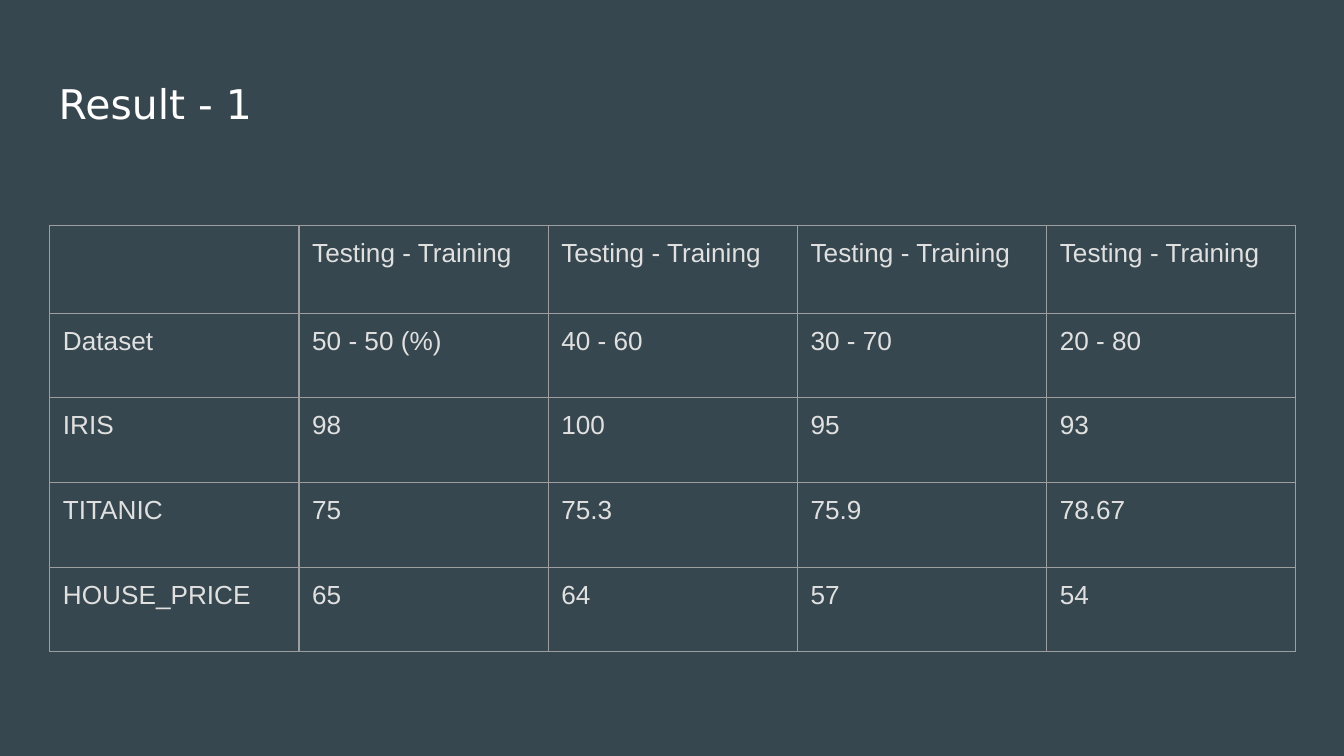
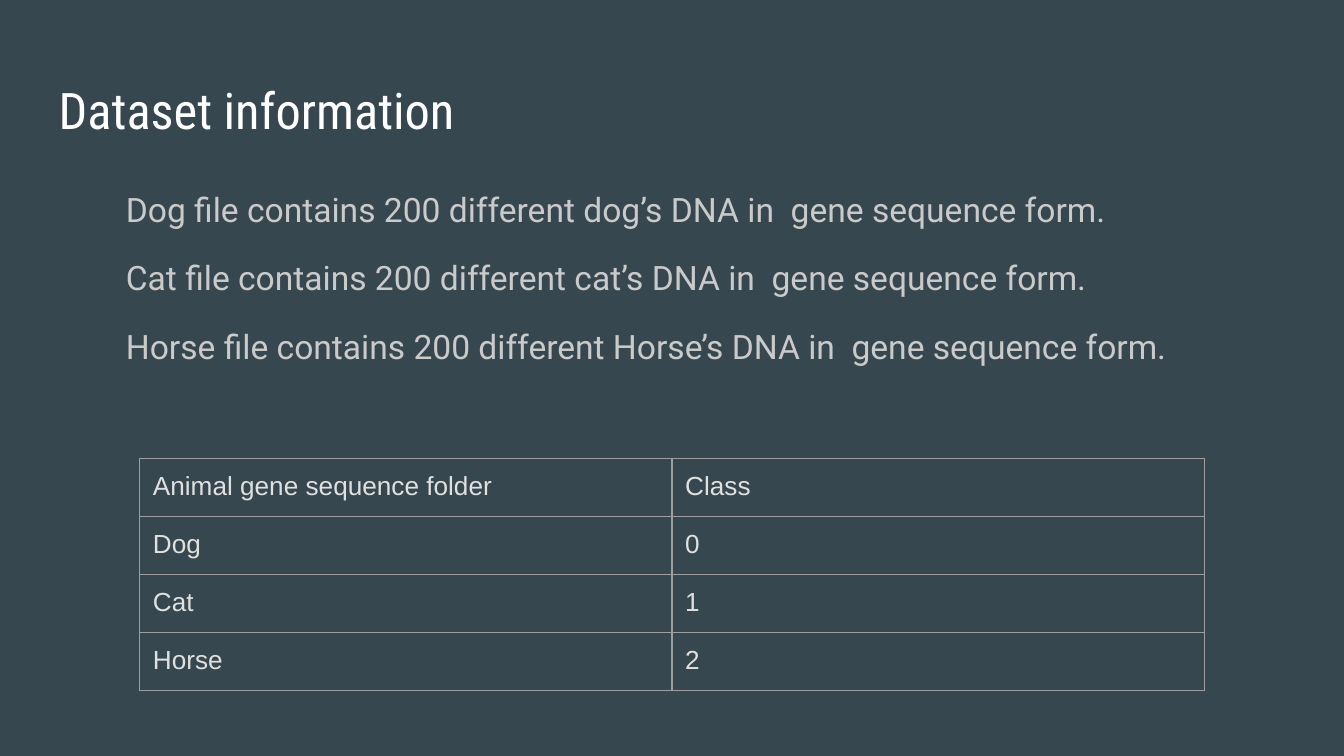
from dataclasses import dataclass

import lxml.etree
import pptx
import pptx.dml.color
import pptx.enum.text
import pptx.oxml
import pptx.oxml.ns
import pptx.util
from pptx.util import Cm


@dataclass(frozen=True)
class Theme:
    background: str = "37474F"
    title_color: str = "FFFFFF"
    body_color: str = "CACACA"
    cell_color: str = "E0E0E0"
    border_color: str = "9E9E9E"
    body_font: str = "Roboto"
    cell_font: str = "Arial"
    body_size: float = 18
    cell_size: float = 14
    border_width: float = 0.75
    paragraph_gap: float = 12
    line_spacing: float = 1.15
    inset: float = 0.25
    left: float = 0.86
    width: float = 23.67


@dataclass(frozen=True)
class Heading:
    text: str
    font: str
    size: float


@dataclass(frozen=True)
class Grid:
    left: float
    top: float
    column_width: float
    row_heights: list[float]
    rows: list[list[str]]


THEME = Theme()

RESULT_HEADING = Heading("Result - 1", "DejaVu Sans", 21.9)
RESULTS = Grid(0.94, 4.26, 4.71, [1.66] + [1.6] * 4, [
    [""] + ["Testing - Training"] * 4,
    ["Dataset", "50 - 50 (%)", "40 - 60", "30 - 70", "20 - 80"],
    ["IRIS", "98", "100", "95", "93"],
    ["TITANIC", "75", "75.3", "75.9", "78.67"],
    ["HOUSE_PRICE", "65", "64", "57", "54"],
])

DATASET_HEADING = Heading("Dataset information", "Roboto Condensed", 27)
FILE_NOTES = [
    f"{animal} file contains 200 different {owner}’s DNA in  gene sequence form."
    for animal, owner in [("Dog", "dog"), ("Cat", "cat"), ("Horse", "Horse")]
]
CLASSES = Grid(2.64, 8.67, 10.06, [1.06] * 4, [
    ["Animal gene sequence folder", "Class"],
    ["Dog", "0"],
    ["Cat", "1"],
    ["Horse", "2"],
])


def format_runs(paragraph, font: str, size: float, color: str) -> None:
    for run in paragraph.runs:
        run.font.name = font
        run.font.size = pptx.util.Pt(size)
        run.font.color.rgb = pptx.dml.color.RGBColor.from_string(color)


def set_insets(frame) -> None:
    """Give a text frame or a table cell the shared margins."""
    frame.margin_left = frame.margin_right = Cm(THEME.inset)
    frame.margin_top = frame.margin_bottom = Cm(THEME.inset)


def add_titled_slide(deck, heading: Heading):
    slide = deck.slides.add_slide(deck.slide_layouts.get_by_name("Title Only"))
    title = slide.shapes.title
    title.left, title.top = Cm(THEME.left), Cm(1.24)
    title.width, title.height = Cm(THEME.width), Cm(1.6)
    frame = title.text_frame
    frame.text = heading.text
    frame.word_wrap = True
    frame.auto_size = pptx.enum.text.MSO_AUTO_SIZE.NONE
    frame.vertical_anchor = pptx.enum.text.MSO_ANCHOR.TOP
    set_insets(frame)
    paragraph = frame.paragraphs[0]
    paragraph.alignment = pptx.enum.text.PP_ALIGN.LEFT
    format_runs(paragraph, heading.font, heading.size, THEME.title_color)
    return slide


def add_notes_text(slide, notes: list[str]) -> None:
    box = slide.shapes.add_textbox(Cm(THEME.left), Cm(3.2), Cm(THEME.width), Cm(9.5))
    frame = box.text_frame
    frame.word_wrap = True
    set_insets(frame)
    frame.text = "\n".join(notes)
    for index, paragraph in enumerate(frame.paragraphs):
        paragraph.line_spacing = THEME.line_spacing
        paragraph.space_before = pptx.util.Pt(THEME.paragraph_gap if index else 0)
        paragraph_properties = paragraph._p.get_or_add_pPr()
        paragraph_properties.set("marL", str(Cm(1.27)))
        paragraph_properties.set("indent", "0")
        format_runs(paragraph, THEME.body_font, THEME.body_size, THEME.body_color)


def draw_borders(cell) -> None:
    cell_properties = cell._tc.get_or_add_tcPr()
    qn = pptx.oxml.ns.qn
    for side in ("a:lnL", "a:lnR", "a:lnT", "a:lnB"):
        line = lxml.etree.SubElement(cell_properties, qn(side))
        line.set("w", str(pptx.util.Pt(THEME.border_width)))
        fill = lxml.etree.SubElement(line, qn("a:solidFill"))
        lxml.etree.SubElement(fill, qn("a:srgbClr")).set("val", THEME.border_color)


def add_grid(slide, grid: Grid) -> None:
    column_count = len(grid.rows[0])
    table = slide.shapes.add_table(
        len(grid.rows), column_count, Cm(grid.left), Cm(grid.top),
        Cm(grid.column_width * column_count), Cm(sum(grid.row_heights)),
    ).table
    table.first_row = table.horz_banding = False
    for column in table.columns:
        column.width = Cm(grid.column_width)
    for row, height, texts in zip(table.rows, grid.row_heights, grid.rows):
        row.height = Cm(height)
        for cell, text in zip(row.cells, texts):
            draw_borders(cell)
            cell.fill.background()
            set_insets(cell)
            if text:
                cell.text_frame.text = text
                format_runs(cell.text_frame.paragraphs[0],
                            THEME.cell_font, THEME.cell_size, THEME.cell_color)


def main() -> None:
    deck = pptx.Presentation()
    deck.slide_width, deck.slide_height = Cm(25.4), Cm(14.29)

    # Shared background
    backdrop = deck.slide_master.background.fill
    backdrop.solid()
    backdrop.fore_color.rgb = pptx.dml.color.RGBColor.from_string(THEME.background)

    # Accuracy by split
    result_slide = add_titled_slide(deck, RESULT_HEADING)
    add_grid(result_slide, RESULTS)

    # Files and their classes
    dataset_slide = add_titled_slide(deck, DATASET_HEADING)
    add_notes_text(dataset_slide, FILE_NOTES)
    add_grid(dataset_slide, CLASSES)

    deck.save("out.pptx")


if __name__ == "__main__":
    main()
